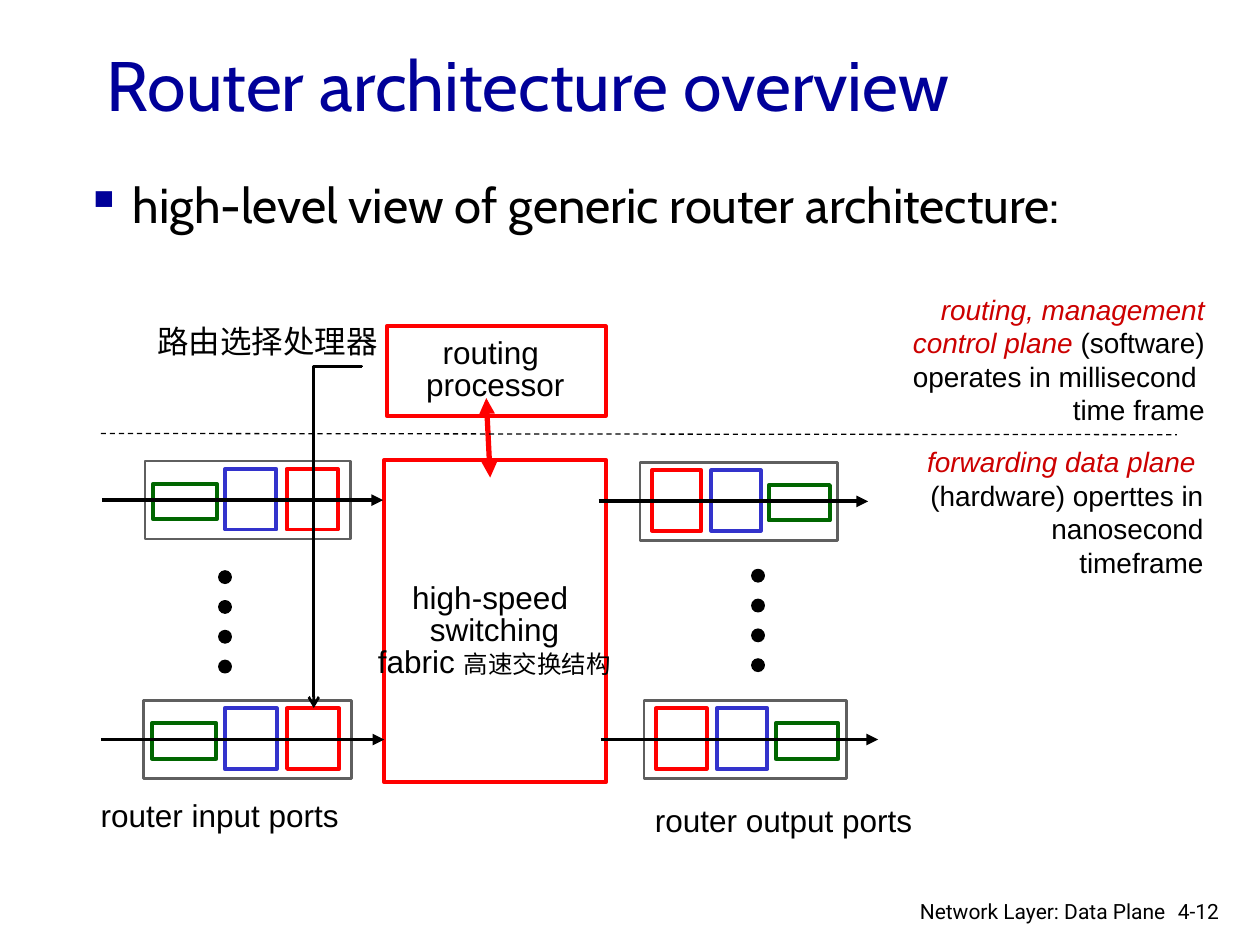
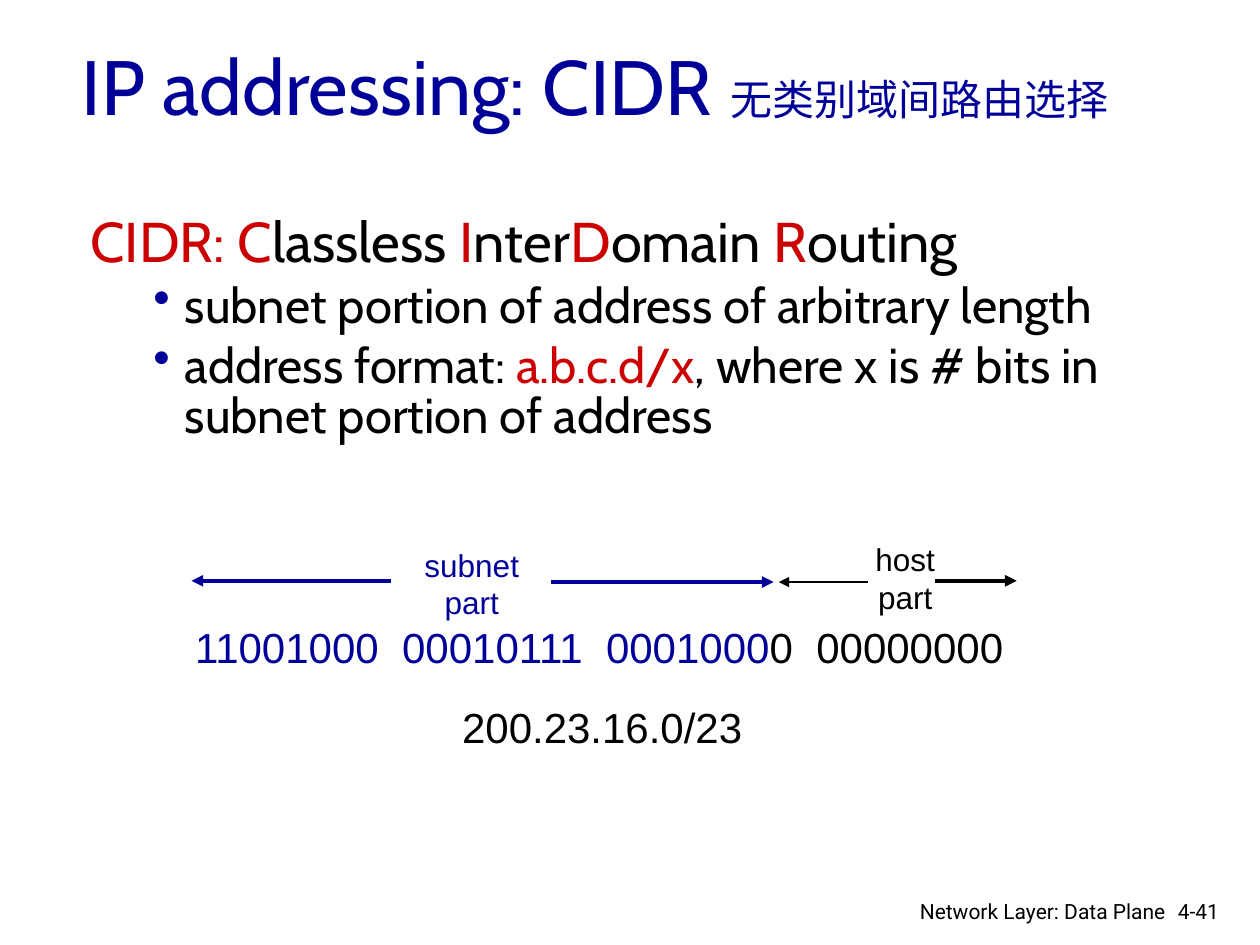
from lxml.etree import SubElement
from pptx import Presentation
from pptx.dml.color import RGBColor
from pptx.enum.dml import MSO_LINE
from pptx.enum.shapes import MSO_CONNECTOR, MSO_SHAPE
from pptx.enum.text import MSO_ANCHOR, MSO_AUTO_SIZE, PP_ALIGN
from pptx.oxml.ns import qn
from pptx.util import Pt

NAVY, BLACK, WHITE = "000099", "000000", "FFFFFF"
CRIMSON, RED, BLUE, GREEN, GRAY = "CC0000", "FF0000", "3333CC", "006600", "5F5F5F"
HEADING_FONT, LABEL_FONT, FOOTER_FONT = "Cabin", "Arial", "Roboto"
LEFT, CENTER, RIGHT = PP_ALIGN.LEFT, PP_ALIGN.CENTER, PP_ALIGN.RIGHT
FOOTER = "Network Layer: Data Plane"

# Text is a list of paragraphs; a paragraph is a list of runs;
# a run is a string or a (string, font changes) pair.
EMPHASIS = {"color": CRIMSON, "italic": True}
INITIAL = {"color": CRIMSON}

CONTROL_PLANE = [
    [("routing, management", EMPHASIS)],
    [("control plane ", EMPHASIS), "(software)"],
    ["operates in millisecond "],
    ["time frame"],
]
DATA_PLANE = [[("forwarding data plane  ", EMPHASIS),
               "(hardware) operttes in nanosecond timeframe"]]
FABRIC = [["high-speed "], ["switching"], ["fabric ", ("高速交换结构", {"size": 14})]]
CIDR_MEANING = [[("CIDR: C", INITIAL), "lassless ", ("I", INITIAL), "nter",
                 ("D", INITIAL), "omain ", ("R", INITIAL), "outing"]]
CIDR_POINTS = [
    ["subnet portion of address of arbitrary length"],
    ["address format: ", ("a.b.c.d/x", INITIAL),
     ", where x is # bits in subnet portion of address"],
]

# frame left, top, width; arrow start and end; mirrored for output ports
PORTS = [
    (82.8, 263.5, 117.4, 58.3, 218.9, False),
    (82.1, 400.3, 118.8, 57.6, 219.6, False),
    (365.8, 264.2, 113, 342, 496.1, True),
    (367.9, 400.3, 115.9, 343.4, 501.8, True),
]
PORT_HEIGHT = 44.6
# left and width as shares of the frame width, then top offset, height, colour
PORT_STAGES = [
    (0.04, 0.31, 13, 20.2, GREEN),
    (0.39, 0.25, 4.5, 34.6, BLUE),
    (0.69, 0.25, 4.5, 34.6, RED),
]
DOT_COLUMNS = [(125, 326.2), (429.6, 325.4)]
DOT_SIZE, DOT_STEP, DOT_COUNT = 7.2, 17.04, 4

# start x, end x, y, colour, width
ADDRESS_ARROWS = [
    (223.2, 109.4, 331.9, NAVY, 2.25),
    (314.6, 442.1, 332.6, NAVY, 2.25),
    (496.1, 445, 332.6, BLACK, 1.5),
    (534.2, 581, 331.9, BLACK, 2.25),
]


def rgb(color):
    return RGBColor.from_string(color)


def style_font(font, size=None, color=None, name=None, italic=None):
    if size is not None:
        font.size = Pt(size)
    if color is not None:
        font.color.rgb = rgb(color)
    if name is not None:
        font.name = name
    if italic is not None:
        font.italic = italic


def add_bullet(paragraph, character, margin, hanging):
    properties = paragraph._p.get_or_add_pPr()
    properties.set("marL", str(Pt(margin)))
    properties.set("indent", str(-Pt(hanging)))
    if character:
        bullet_color = SubElement(properties, qn("a:buClr"))
        SubElement(bullet_color, qn("a:srgbClr"), val=NAVY)
        SubElement(properties, qn("a:buChar"), char=character)


def fill_paragraph(paragraph, runs, size, color, font, align, spacing):
    paragraph.alignment = align
    if spacing:
        paragraph.line_spacing = spacing
    style_font(paragraph.font, size, color, font)
    for item in runs:
        text, changes = (item, {}) if isinstance(item, str) else item
        run = paragraph.add_run()
        run.text = text
        style_font(run.font, **changes)


def add_text(slide, box, paragraphs, size=18, color=BLACK, font=LABEL_FONT,
             align=LEFT, wrap=False, spacing=None, anchor=MSO_ANCHOR.TOP):
    frame = slide.shapes.add_textbox(*map(Pt, box)).text_frame
    frame.word_wrap = wrap
    frame.auto_size = MSO_AUTO_SIZE.NONE if wrap else MSO_AUTO_SIZE.SHAPE_TO_FIT_TEXT
    frame.vertical_anchor = anchor
    for index, runs in enumerate(paragraphs):
        paragraph = frame.add_paragraph() if index else frame.paragraphs[0]
        fill_paragraph(paragraph, runs, size, color, font, align, spacing)
    return frame


def add_body(slide, box, items):
    """Items are (runs, size, bullet, margin, hanging indent)."""
    frame = slide.shapes.add_textbox(*map(Pt, box)).text_frame
    frame.word_wrap = True
    for index, (runs, size, bullet, margin, hanging) in enumerate(items):
        paragraph = frame.add_paragraph() if index else frame.paragraphs[0]
        paragraph.line_spacing = 0.85
        paragraph.space_before = Pt(size * 0.2)
        add_bullet(paragraph, bullet, margin, hanging)
        fill_paragraph(paragraph, runs, size, BLACK, HEADING_FONT, LEFT, 0.85)


def add_block(slide, box, line_color, line_width=2.25, fill=WHITE, kind=MSO_SHAPE.RECTANGLE):
    shape = slide.shapes.add_shape(kind, *map(Pt, box))
    shape.shadow.inherit = False
    shape.fill.solid()
    shape.fill.fore_color.rgb = rgb(fill)
    shape.line.color.rgb = rgb(line_color)
    shape.line.width = Pt(line_width)


def add_line(slide, start, end, color=BLACK, width=2.25, head=None, tail="triangle",
             dash=None, kind=MSO_CONNECTOR.STRAIGHT):
    connector = slide.shapes.add_connector(kind, *map(Pt, (*start, *end)))
    connector.line.color.rgb = rgb(color)
    connector.line.width = Pt(width)
    if dash:
        connector.line.dash_style = dash
    line = connector.line._get_or_add_ln()
    for tag, arrow in (("a:headEnd", head), ("a:tailEnd", tail)):
        if arrow:
            SubElement(line, qn(tag), type=arrow)
    SubElement(connector._element.spPr, qn("a:effectLst"))
    return connector


def add_corner_arrow(slide, start, end):
    """Arrow that runs left from start, then down to end: an elbow turned by 90 degrees."""
    center_x, center_y = (start[0] + end[0]) / 2, (start[1] + end[1]) / 2
    half_length, half_depth = (end[1] - start[1]) / 2, (start[0] - end[0]) / 2
    connector = add_line(slide, (center_x - half_length, center_y - half_depth),
                         (center_x + half_length, center_y + half_depth),
                         width=1.5, tail="arrow", kind=MSO_CONNECTOR.ELBOW)
    properties = connector._element.spPr
    properties.find(qn("a:xfrm")).set("rot", "5400000")
    geometry = properties.find(qn("a:prstGeom"))
    adjustments = geometry.find(qn("a:avLst"))
    if adjustments is None:
        adjustments = SubElement(geometry, qn("a:avLst"))
    SubElement(adjustments, qn("a:gd"), name="adj1", fmla="val -100")


def add_port(slide, left, top, width, arrow_start, arrow_end, mirrored):
    add_block(slide, (left, top, width, PORT_HEIGHT), GRAY, 1.5)
    for offset, share, drop, height, color in PORT_STAGES:
        if mirrored:
            offset = 1 - offset - share
        add_block(slide, (left + offset * width, top + drop, share * width, height), color)
    middle = top + PORT_HEIGHT / 2
    add_line(slide, (arrow_start, middle), (arrow_end, middle))


def add_slide(presentation, title, title_box, title_size, number):
    slide = presentation.slides.add_slide(presentation.slide_layouts[6])
    add_text(slide, title_box, [title], title_size, NAVY, HEADING_FONT,
             wrap=True, anchor=MSO_ANCHOR.MIDDLE)
    add_text(slide, (666, 509.8, 43.9, 21.6), [[number]], 12, font=FOOTER_FONT, wrap=True)
    add_text(slide, (501.8, 509.8, 171.4, 18.7), [[FOOTER]], 12, font=FOOTER_FONT,
             align=RIGHT, wrap=True)
    return slide


def build_router_slide(presentation):
    slide = add_slide(presentation, ["Router architecture overview"],
                      (54, 23.8, 612, 48.2), 40, "4-12")
    add_body(slide, (41.8, 101.5, 612, 46), [
        (["high-level view of generic router architecture:"], 28, "▪", 27, 27)])

    add_block(slide, (219.6, 262.8, 126.7, 184.3), RED)
    add_text(slide, (208.8, 329.8, 147.6, 62.6), FABRIC, align=CENTER, wrap=True, spacing=0.85)
    add_block(slide, (221, 186.5, 125.3, 51.1), RED)
    add_text(slide, (236.2, 190.1, 93.6, 43.9), [["routing "], ["processor "]],
             align=CENTER, spacing=0.85)
    add_line(slide, (277.9, 227.5), (280.1, 272.9), RED, 3, head="triangle")

    for port in PORTS:
        add_port(slide, *port)
    for left, top in DOT_COLUMNS:
        for index in range(DOT_COUNT):
            add_block(slide, (left, top + index * DOT_STEP, DOT_SIZE, DOT_SIZE),
                      BLACK, 0.75, BLACK, MSO_SHAPE.OVAL)
    add_text(slide, (50.4, 451.4, 150.5, 28.8), [["router input ports"]])
    add_text(slide, (367.2, 454.3, 161.3, 28.8), [["router output ports"]])

    add_line(slide, (57.6, 247.7), (672.5, 248.4), width=0.75, tail=None, dash=MSO_LINE.DASH)
    add_text(slide, (522.7, 250.6, 172.1, 85), DATA_PLANE, 16, align=RIGHT, wrap=True)
    add_text(slide, (468.7, 163.4, 226.8, 85), CONTROL_PLANE, 16, align=RIGHT, wrap=True)
    add_text(slide, (82.8, 180.7, 154.8, 28.8), [["路由选择处理器"]], wrap=True)
    add_corner_arrow(slide, (206.9, 209.5), (179.3, 404.6))


def build_cidr_slide(presentation):
    title = ["IP addressing: CIDR ", ("无类别域间路由选择", {"size": 24})]
    slide = add_slide(presentation, title, (39.6, 15.1, 612, 67), 44, "4-41")
    items = [(runs, 32, None, 27, 27) for runs in CIDR_MEANING]
    items += [(runs, 28, "•", 54, 18) for runs in CIDR_POINTS]
    add_body(slide, (44.6, 120.2, 638.6, 249.8), items)

    add_text(slide, (104.4, 351.4, 482.4, 36),
             [[("11001000  00010111  0001000", {"color": NAVY}), "0  00000000"]], 24)
    add_text(slide, (235.4, 308.2, 68.4, 50.4), [["subnet"], ["part"]], color=NAVY, align=CENTER)
    add_text(slide, (493.2, 305.3, 48.2, 50.4), [["host"], ["part"]], align=CENTER)
    add_text(slide, (257, 397.4, 175, 36), [["200.23.16.0/23"]], 24)
    for start, end, y, color, width in ADDRESS_ARROWS:
        add_line(slide, (start, y), (end, y), color, width)


def main():
    presentation = Presentation()
    presentation.slide_width, presentation.slide_height = Pt(720), Pt(540)
    build_router_slide(presentation)
    build_cidr_slide(presentation)
    presentation.save("out.pptx")


if __name__ == "__main__":
    main()
